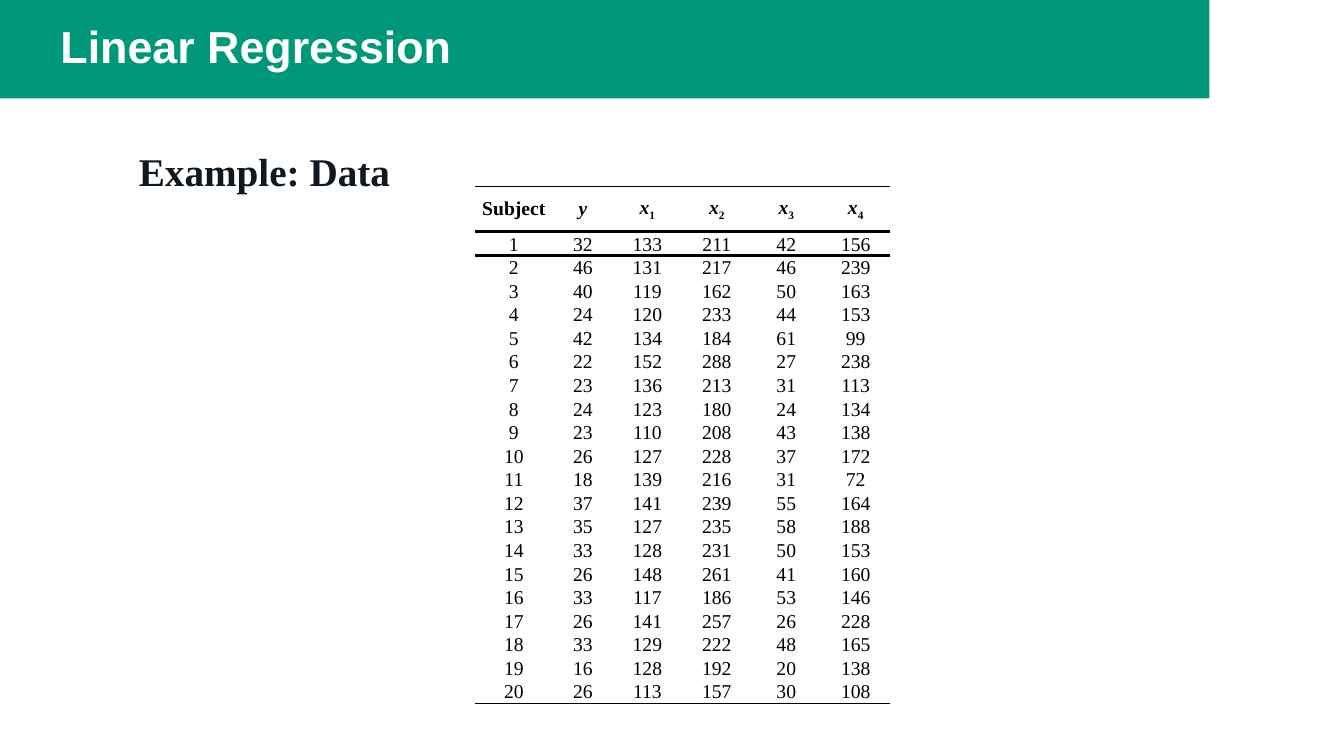
from lxml import etree
from pptx import Presentation
from pptx.dml import color
from pptx.enum import shapes, text
from pptx.oxml import ns
from pptx.util import Cm, Pt

SERIF = "Times New Roman"
HEAD = ["Subject", "y", "x1", "x2", "x3", "x4"]
DATA = [
    (32, 133, 211, 42, 156), (46, 131, 217, 46, 239),
    (40, 119, 162, 50, 163), (24, 120, 233, 44, 153),
    (42, 134, 184, 61, 99), (22, 152, 288, 27, 238),
    (23, 136, 213, 31, 113), (24, 123, 180, 24, 134),
    (23, 110, 208, 43, 138), (26, 127, 228, 37, 172),
    (18, 139, 216, 31, 72), (37, 141, 239, 55, 164),
    (35, 127, 235, 58, 188), (33, 128, 231, 50, 153),
    (26, 148, 261, 41, 160), (33, 117, 186, 53, 146),
    (26, 141, 257, 26, 228), (33, 129, 222, 48, 165),
    (16, 128, 192, 20, 138), (26, 113, 157, 30, 108),
]
WIDTHS = [1.98, 1.5] + [1.75] * 4
TALL, LOW = 1.14, 0.57


def rgb(code):
    return color.RGBColor.from_string(code)


def add_run(para, words, size, tint="000000", face=SERIF, bold=False, slant=False):
    run = para.add_run()
    run.text = words
    font = run.font
    font.name, font.size, font.bold, font.italic = face, Pt(size), bold, slant
    font.color.rgb = rgb(tint)
    return run


def add_band(slide):
    """Draw the green band behind the title."""
    band = slide.shapes.add_shape(
        shapes.MSO_SHAPE.RECTANGLE, 0, 0, Cm(30.48), Cm(2.48))
    band.shadow.inherit = False
    band.fill.solid()
    band.fill.fore_color.rgb = rgb("009878")
    band.line.fill.background()
    slide.shapes._spTree.insert(2, band._element)


def set_title(slide, words):
    title = slide.shapes.title
    title.left, title.top, title.width, title.height = (
        Cm(1.27), Cm(0), Cm(29.21), Cm(2.48))
    frame = title.text_frame
    frame.vertical_anchor = text.MSO_ANCHOR.MIDDLE
    frame.auto_size = text.MSO_AUTO_SIZE.NONE
    para = frame.paragraphs[0]
    para.alignment = text.PP_ALIGN.LEFT
    para.line_spacing = 0.9
    add_run(para, words, 32, "FFFFFF", "Arial", bold=True)


def add_label(slide, words):
    box = slide.shapes.add_textbox(Cm(3.02), Cm(3.6), Cm(8.5), Cm(1.5))
    frame = box.text_frame
    frame.word_wrap = True
    frame.margin_left = Cm(0.48)
    add_run(frame.paragraphs[0], words, 28, "101920", bold=True)


def rule(cell, side, width):
    """Draw a black border on one side, T or B."""
    line = etree.SubElement(
        cell._tc.get_or_add_tcPr(), ns.qn("a:ln" + side), w=str(Pt(width)))
    fill = etree.SubElement(line, ns.qn("a:solidFill"))
    etree.SubElement(fill, ns.qn("a:srgbClr"), val="000000")


def fill_head(para, name):
    if name == "Subject":
        add_run(para, name, 14, bold=True)
        return
    add_run(para, name[0], 14, bold=True, slant=True)
    if name[1:]:
        sub = add_run(para, name[1:], 14, bold=True)
        sub.font._element.set("baseline", "-25000")


def add_data(slide):
    rows = [HEAD] + [(n, *vals) for n, vals in enumerate(DATA, 1)]
    frame = slide.shapes.add_table(
        len(rows), len(HEAD), Cm(11.96), Cm(4.7),
        Cm(sum(WIDTHS)), Cm(TALL + LOW * len(DATA)))
    table = frame.table
    table.first_row = table.horz_banding = False
    for col, width in zip(table.columns, WIDTHS):
        col.width = Cm(width)
    for r, vals in enumerate(rows):
        table.rows[r].height = Cm(LOW if r else TALL)
        for c, val in enumerate(vals):
            cell = table.cell(r, c)
            cell.margin_left = cell.margin_right = Cm(0.15)
            cell.margin_top = cell.margin_bottom = 0
            cell.vertical_anchor = (
                text.MSO_ANCHOR.BOTTOM if r else text.MSO_ANCHOR.MIDDLE)
            para = cell.text_frame.paragraphs[0]
            para.alignment = text.PP_ALIGN.CENTER
            if r == 0:
                fill_head(para, val)
                rule(cell, "T", 1)
                rule(cell, "B", 2.25)
            else:
                add_run(para, str(val), 14)
            if r == 1:
                rule(cell, "T", 2.25)
            if r == len(DATA):
                rule(cell, "B", 1)
            cell.fill.background()
    style = table._tbl.tblPr.find(ns.qn("a:tableStyleId"))
    style.text = "{2D5ABB26-0587-4C30-8999-92F81FD0307C}"


def main():
    deck = Presentation()
    deck.slide_width, deck.slide_height = Cm(33.87), Cm(19.05)
    slide = deck.slides.add_slide(deck.slide_layouts[5])
    add_band(slide)
    set_title(slide, "Linear Regression")
    add_label(slide, "Example: Data")
    add_data(slide)
    deck.save("out.pptx")


if __name__ == "__main__":
    main()
